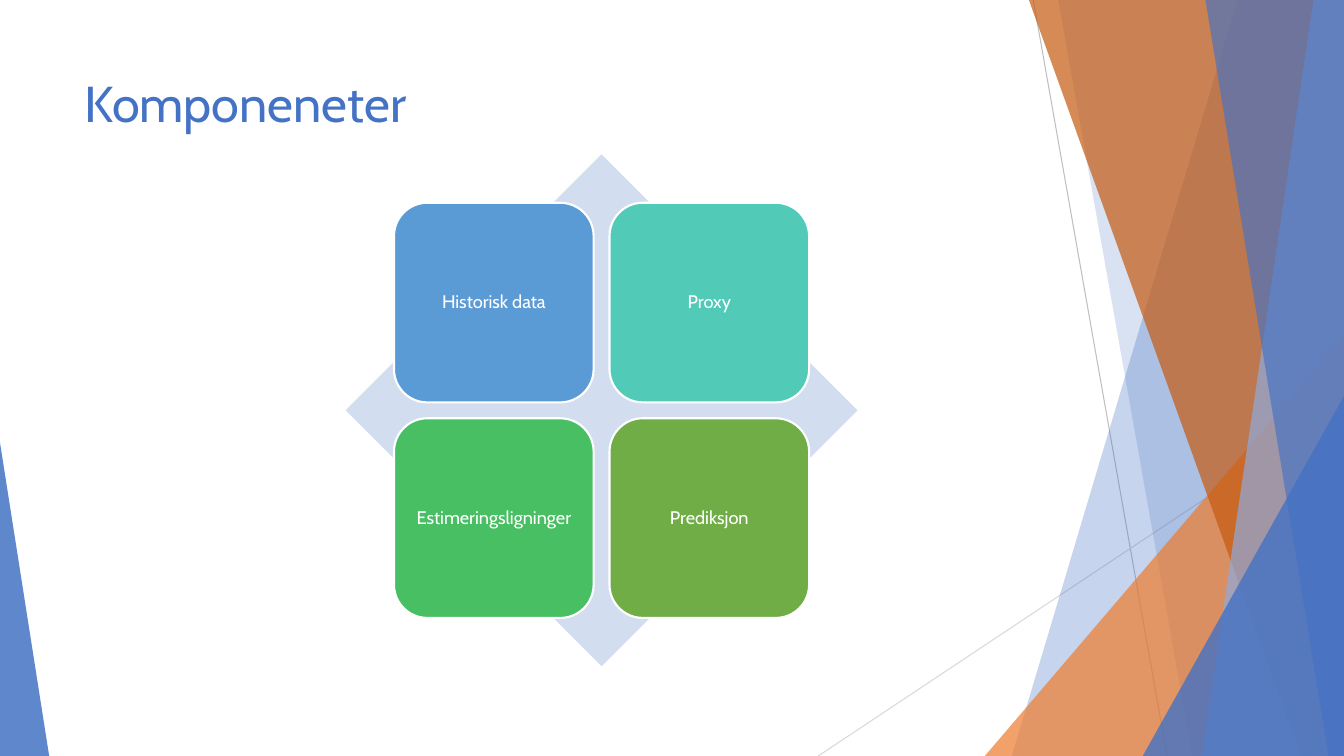
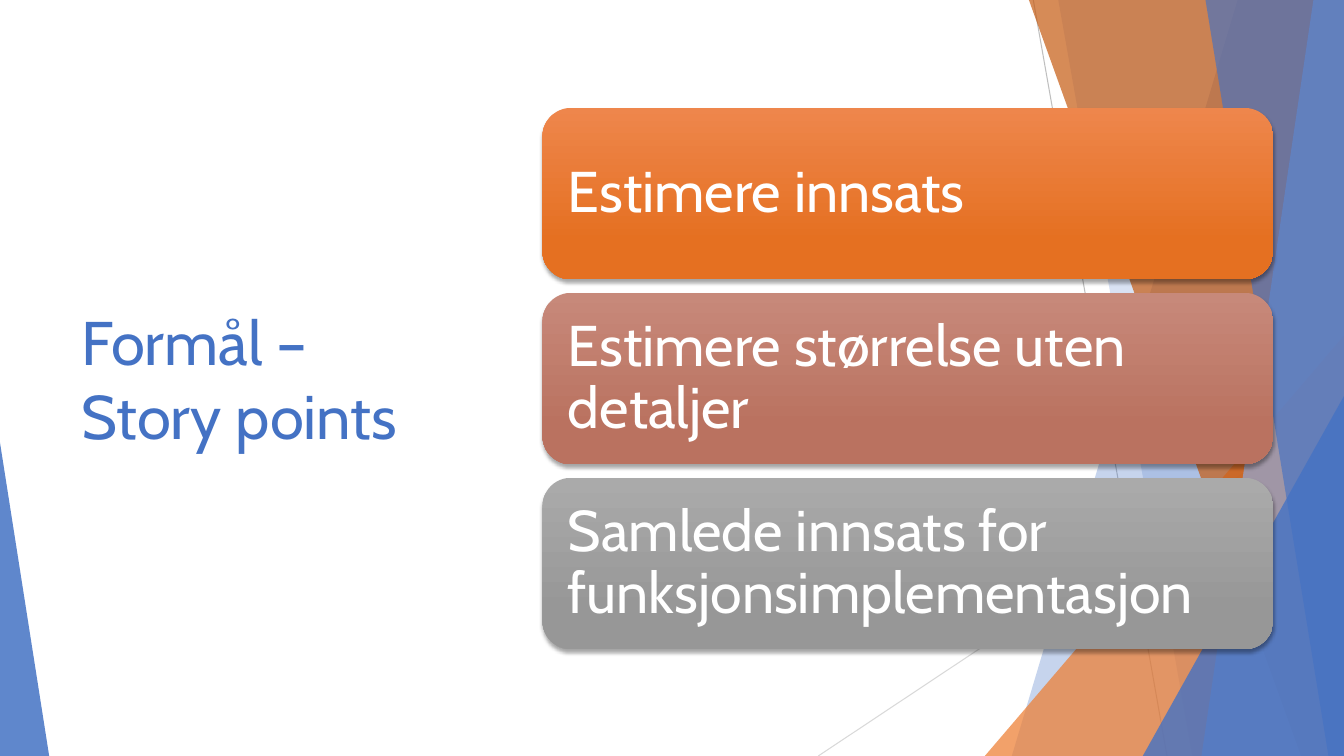
from lxml import etree
from pptx import Presentation
from pptx.dml.color import RGBColor
from pptx.enum import shapes as es, text as et
from pptx.oxml.ns import qn
from pptx.util import Cm, Pt

W, H = 33.87, 19.05
FONT = "Cabin"
WHITE = RGBColor(0xFF, 0xFF, 0xFF)
BLUE = RGBColor(0x44, 0x72, 0xC4)
LIGHT_BLUE = RGBColor(0x8F, 0xAA, 0xDC)
PALE_BLUE = RGBColor(0xD2, 0xDE, 0xEF)
ORANGE = RGBColor(0xED, 0x7D, 0x31)
RUST = RGBColor(0xC5, 0x5A, 0x11)
GREY = RGBColor(0xBF, 0xBF, 0xBF)
PALE_GREY = RGBColor(0xD9, 0xD9, 0xD9)
SKY = RGBColor(0x5B, 0x9B, 0xD5)
TEAL = RGBColor(0x52, 0xCA, 0xB8)
GREEN = RGBColor(0x49, 0xBF, 0x64)
OLIVE = RGBColor(0x70, 0xAD, 0x47)
ORANGE_FADE = RGBColor(0xEE, 0x86, 0x4C), RGBColor(0xE5, 0x70, 0x21)
CLAY_FADE = RGBColor(0xC7, 0x89, 0x7A), RGBColor(0xBA, 0x72, 0x60)
GREY_FADE = RGBColor(0xAA, 0xAA, 0xAA), RGBColor(0x97, 0x97, 0x97)


def write(sp, text, size, color=WHITE, align=et.PP_ALIGN.LEFT,
          anchor=et.MSO_ANCHOR.MIDDLE, inset=None, spacing=None):
    """Put one formatted paragraph into a shape."""
    tf = sp.text_frame
    tf.word_wrap = True
    tf.auto_size = et.MSO_AUTO_SIZE.NONE
    tf.vertical_anchor = anchor
    if inset is not None:
        tf.margin_left = tf.margin_right = tf.margin_top = tf.margin_bottom = Cm(inset)
    p = tf.paragraphs[0]
    p.alignment = align
    p.line_spacing = spacing
    r = p.add_run()
    r.text = text
    r.font.name, r.font.size, r.font.color.rgb = FONT, Pt(size), color


def paint(sp, color, alpha=100, line=None):
    """Give a shape a flat fill and an optional outline."""
    sp.shadow.inherit = False
    sp.fill.solid()
    sp.fill.fore_color.rgb = color
    if alpha < 100:
        rgb = sp._element.spPr.find(qn("a:solidFill"))[0]
        etree.SubElement(rgb, qn("a:alpha"), val=str(alpha * 1000))
    if line is None:
        sp.line.fill.background()
    else:
        sp.line.color.rgb = line
        sp.line.width = Pt(1.5)


def fade(sp, top, bottom):
    """Give a shape a vertical gradient and a soft shadow."""
    sp.line.fill.background()
    sp.fill.gradient()
    sp.fill.gradient_angle = 270
    for stop, color, position in zip(sp.fill.gradient_stops, (top, bottom), (0, 0.78)):
        stop.color.rgb = color
        stop.position = position
    sp.shadow.inherit = False
    effects = sp._element.spPr.find(qn("a:effectLst"))
    shadow = etree.SubElement(effects, qn("a:outerShdw"), blurRad=str(Pt(3)),
                              dist=str(Pt(2)), dir="5400000", rotWithShape="0")
    rgb = etree.SubElement(shadow, qn("a:srgbClr"), val="000000")
    etree.SubElement(rgb, qn("a:alpha"), val="35000")


def add_shape(s, kind, x, y, w, h):
    """Add a preset shape measured in centimetres."""
    return s.shapes.add_shape(kind, Cm(x), Cm(y), Cm(w), Cm(h))


def add_ray(s, x1, y1, x2, y2, color):
    """Add a thin straight line."""
    ray = s.shapes.add_connector(es.MSO_CONNECTOR.STRAIGHT, Cm(x1), Cm(y1), Cm(x2), Cm(y2))
    ray.line.color.rgb = color
    ray.line.width = Pt(0.75)
    etree.SubElement(ray._element.spPr, qn("a:effectLst"))
    return ray


def add_band(s, top, bottom, color, alpha):
    """Add a full-height band from a slanted edge to the right side."""
    builder = s.shapes.build_freeform(Cm(top), 0, scale=1.0)
    builder.add_line_segments([(Cm(W), 0), (Cm(W), Cm(H)), (Cm(bottom), Cm(H))], close=True)
    band = builder.convert_to_shape()
    paint(band, color, alpha)
    return band


def add_corner(s, x, y, w, apex, color, alpha):
    """Add a right triangle that stands on the bottom edge."""
    corner = add_shape(s, es.MSO_SHAPE.ISOSCELES_TRIANGLE, x, y, w, H - y)
    corner.adjustments[0] = apex
    paint(corner, color, alpha)
    return corner


def add_backdrop(s, layout):
    """Draw the shared facets and move them into the layout."""
    facets = [
        add_ray(s, 26.04, 0, 29.41, H, GREY),
        add_ray(s, W, 10.24, 20.62, H, PALE_GREY),
        add_band(s, 31.19, 25.5, BLUE, 30),
        add_band(s, 26.67, 30.05, BLUE, 20),
        add_corner(s, 24.82, 8.46, W - 24.82, 1, ORANGE, 72),
        add_band(s, 25.93, 32.79, RUST, 70),
        add_band(s, 33.1, 30.28, LIGHT_BLUE, 70),
        add_band(s, 30.38, 33.48, BLUE, 65),
        add_corner(s, 28.8, 9.98, W - 28.8, 1, BLUE, 80),
        add_corner(s, 0, 11.15, 1.24, 0, BLUE, 85),
    ]
    for number, facet in enumerate(facets, 101):
        facet._element.xpath(".//p:cNvPr")[0].set("id", str(number))
        layout.shapes._spTree.append(facet._element)


def set_title(s, text, x, y, w, h, size, anchor):
    """Place and format the title placeholder."""
    title = s.shapes.title
    title.left, title.top, title.width, title.height = Cm(x), Cm(y), Cm(w), Cm(h)
    write(title, text, size, color=BLUE, anchor=anchor)


def add_matrix(s, tiles, x, y, size):
    """Draw a diamond with two by two tiles over it."""
    paint(add_shape(s, es.MSO_SHAPE.DIAMOND, x, y, size, size), PALE_BLUE)
    side, gap = 0.39 * size, 0.4
    margin = (size - 2 * side - gap) / 2
    for i, (text, color) in enumerate(tiles):
        row, col = divmod(i, 2)
        tile = add_shape(s, es.MSO_SHAPE.ROUNDED_RECTANGLE,
                         x + margin + col * (side + gap),
                         y + margin + row * (side + gap), side, side)
        paint(tile, color, line=WHITE)
        write(tile, text, 13, align=et.PP_ALIGN.CENTER, inset=0.13, spacing=0.9)


def add_cards(s, cards, x, y, w, h):
    """Stack wide cards evenly in a box."""
    gap = 0.34
    height = (h - gap * (len(cards) - 1)) / len(cards)
    for i, (text, colors) in enumerate(cards):
        card = add_shape(s, es.MSO_SHAPE.ROUNDED_RECTANGLE,
                         x, y + i * (height + gap), w, height)
        fade(card, *colors)
        write(card, text, 41, inset=0.43, spacing=0.9)


def main():
    """Build both slides and save them."""
    prs = Presentation()
    prs.slide_width, prs.slide_height = Cm(W), Cm(H)
    layout = prs.slide_layouts[5]

    s = prs.slides.add_slide(layout)
    add_backdrop(s, layout)
    set_title(s, "Komponeneter", 1.88, 1.7, 23.88, 3.66, 36, et.MSO_ANCHOR.TOP)
    add_matrix(s, [("Historisk data", SKY), ("Proxy", TEAL),
                   ("Estimeringsligninger", GREEN), ("Prediksjon", OLIVE)],
               8.71, 3.89, 12.9)

    s = prs.slides.add_slide(layout)
    set_title(s, "Formål – Story points", 1.8, 3.84, 9.86, 11.38, 44, et.MSO_ANCHOR.MIDDLE)
    add_cards(s, [("Estimere innsats", ORANGE_FADE),
                  ("Estimere størrelse uten detaljer", CLAY_FADE),
                  ("Samlede innsats for funksjonsimplementasjon", GREY_FADE)],
              13.67, 2.72, 18.42, 13.64)

    prs.save("out.pptx")


if __name__ == "__main__":
    main()
